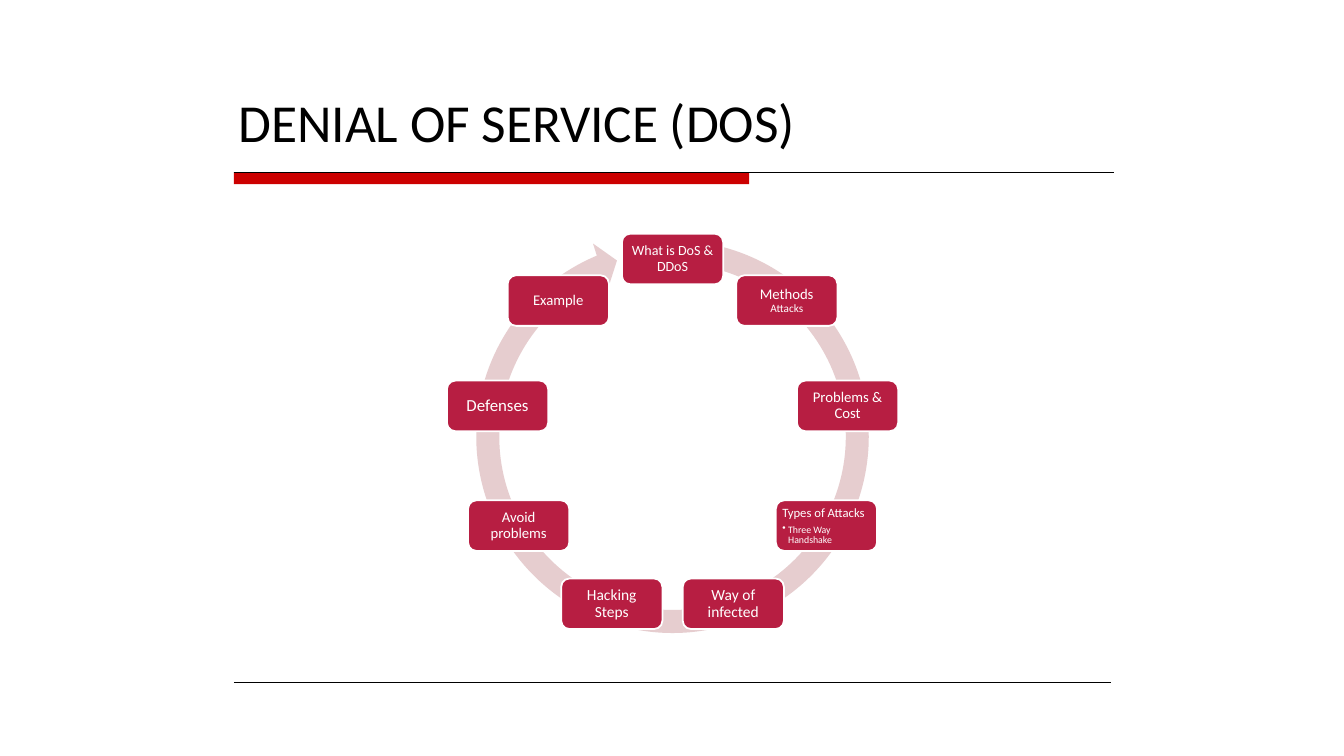
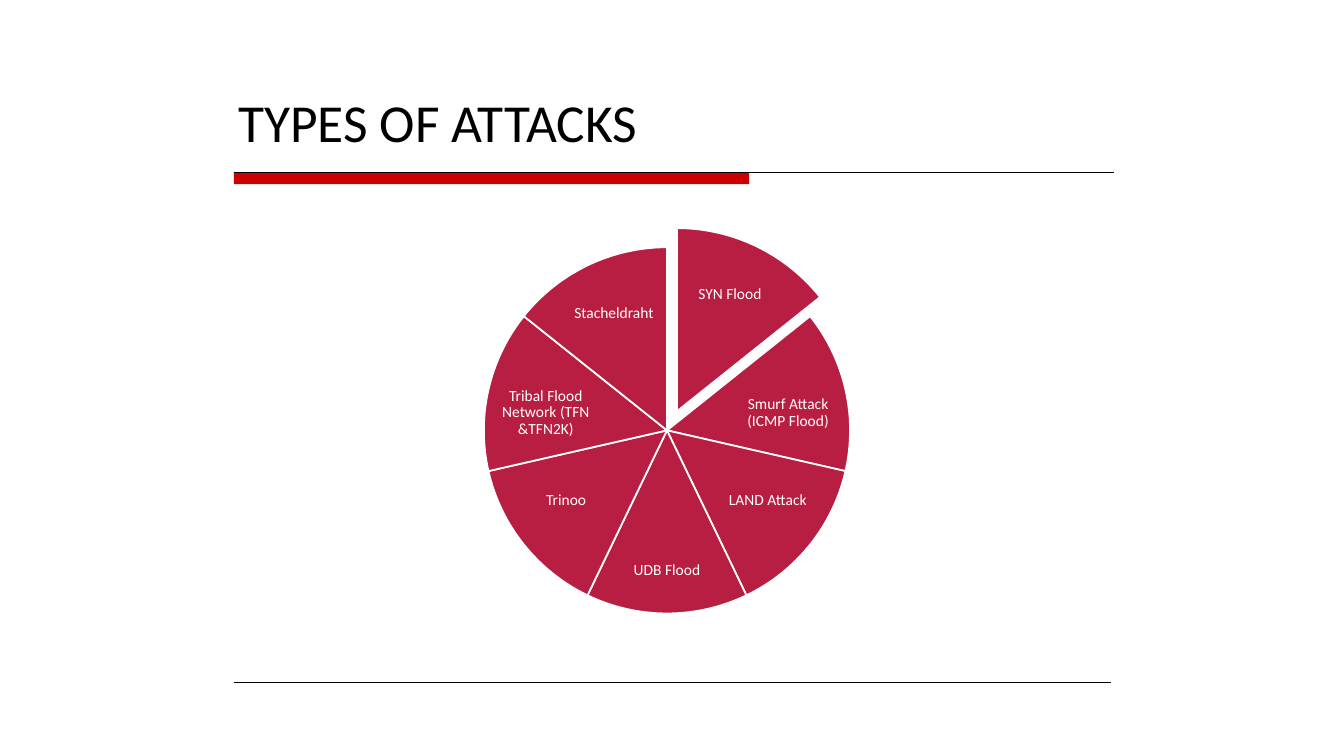
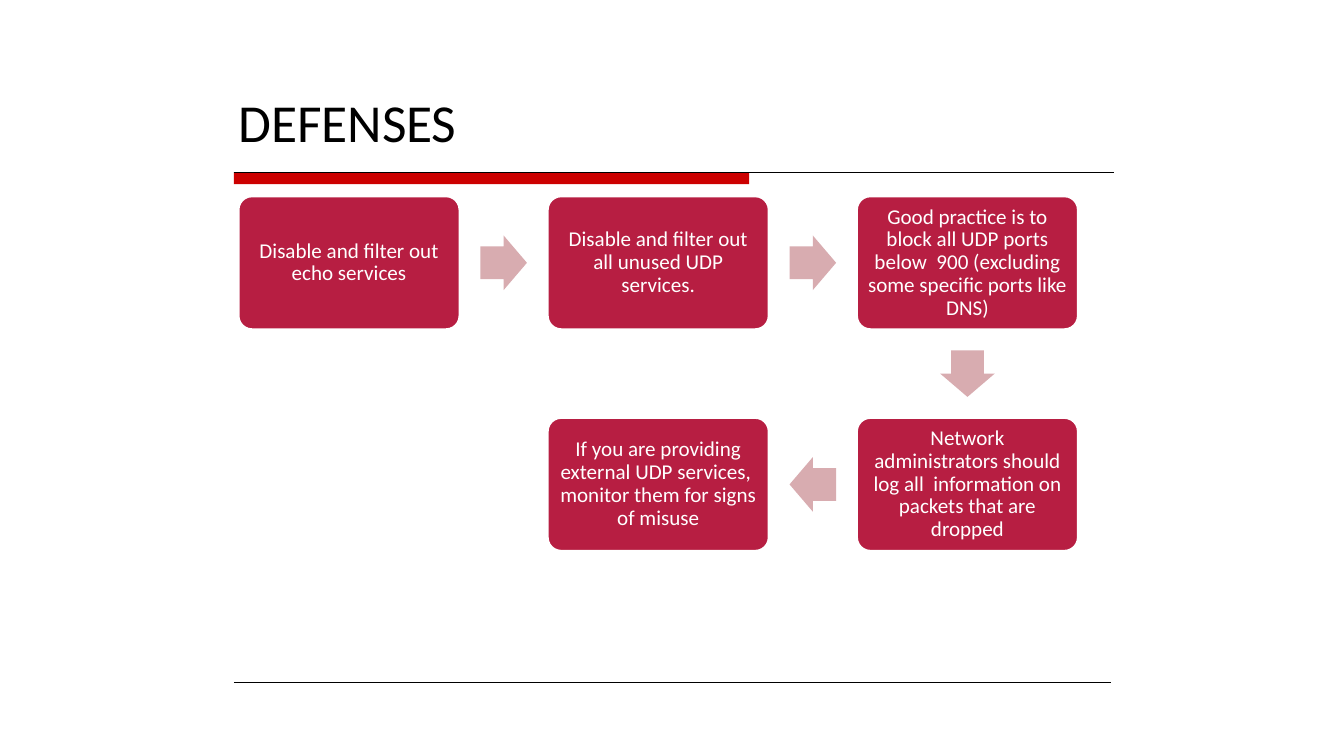
"""Build three slides on denial of service: a topic cycle, a wheel of attacks and a defence flow."""
import math

import lxml.etree
import pptx
import pptx.dml.color
import pptx.enum.shapes
import pptx.enum.text
import pptx.oxml.ns
import pptx.util

Cm = pptx.util.Cm
Pt = pptx.util.Pt
SHAPE = pptx.enum.shapes.MSO_SHAPE
ALIGN = pptx.enum.text.PP_ALIGN
ANCHOR = pptx.enum.text.MSO_ANCHOR
qn = pptx.oxml.ns.qn

FONT = "Calibri"
COLORS = {
    "title": "000000",
    "rule": "000000",
    "bar": "CC0000",
    "box": "B71E42",
    "ring": "E6CDCF",
    "arrow": "D8ACB0",
    "light": "FFFFFF",
}


def paint(shape, fill, line=None, adjustments=()):
    """Give a shape its fill, outline and adjustments, without a shadow."""
    shape.shadow.inherit = False
    shape.fill.solid()
    shape.fill.fore_color.rgb = pptx.dml.color.RGBColor.from_string(COLORS[fill])
    if line:
        shape.line.color.rgb = pptx.dml.color.RGBColor.from_string(COLORS[line])
        shape.line.width = Pt(1.25)
    else:
        shape.line.fill.background()
    for index, value in enumerate(adjustments):
        shape.adjustments[index] = value


def write(box, text, size, color="light", align=ALIGN.CENTER, anchor=ANCHOR.MIDDLE,
          inset=0.0, after=0, same_para=False):
    """Add text to a box as a new paragraph, or as a span of the last one."""
    frame = box.text_frame
    frame.word_wrap = True
    frame.auto_size = pptx.enum.text.MSO_AUTO_SIZE.NONE
    frame.vertical_anchor = anchor
    frame.margin_left = frame.margin_right = Cm(inset)
    frame.margin_top = frame.margin_bottom = Cm(inset)
    para = frame.paragraphs[-1]
    if para.runs and not same_para:
        para = frame.add_paragraph()
    para.alignment = align
    para.line_spacing = 0.9
    para.space_after = Pt(after)
    span = para.add_run()
    span.text = text
    span.font.name = FONT
    span.font.size = Pt(size)
    span.font.color.rgb = pptx.dml.color.RGBColor.from_string(COLORS[color])
    return para


deck = pptx.Presentation()
deck.slide_width, deck.slide_height = Cm(33.73), Cm(18.97)

pages = []
for heading, width in (("DENIAL OF SERVICE (DOS)", 15.93), ("TYPES OF ATTACKS", 14.48), ("DEFENSES", 6.22)):
    page = deck.slides.add_slide(deck.slide_layouts[5])
    pages.append(page)
    title = page.shapes.title
    title.left, title.top, title.width, title.height = Cm(5.99), Cm(2.41), Cm(width), Cm(1.5)
    para = write(title, heading, 38, color="title", align=ALIGN.LEFT, anchor=ANCHOR.TOP)
    para.space_before = Pt(0.9)
    para.runs[0].font._element.set("spc", "-10")
    bar = page.shapes.add_shape(SHAPE.RECTANGLE, Cm(5.87), Cm(4.32), Cm(12.93), Cm(0.3))
    paint(bar, "bar")
    for right, y, weight in ((27.97, 4.32, 0.75), (27.89, 17.12, 0.25)):
        rule = page.shapes.add_connector(
            pptx.enum.shapes.MSO_CONNECTOR.STRAIGHT, Cm(5.87), Cm(y), Cm(right), Cm(y))
        rule.line.color.rgb = pptx.dml.color.RGBColor.from_string(COLORS["rule"])
        rule.line.width = Pt(weight)
        lxml.etree.SubElement(rule._element.spPr, qn("a:effectLst"))

cycle_page, wheel_page, flow_page = pages

ring_x, ring_y, ring_size, orbit = 16.88, 10.96, 10.49, 4.46
node_width, node_height = 2.54, 1.27
ring = cycle_page.shapes.add_shape(
    SHAPE.CIRCULAR_ARROW, Cm(ring_x - ring_size / 2), Cm(ring_y - ring_size / 2), Cm(ring_size), Cm(ring_size))
paint(ring, "ring", adjustments=(0.055, 3.307, 148.192, 167.784, 0.058))

topics = [
    ("What is DoS & DDoS", 10),
    ("Methods", 10.5),
    ("Problems & Cost", 10.5),
    ("Types of Attacks", 9),
    ("Way of infected", 11),
    ("Hacking Steps", 11),
    ("Avoid problems", 10.5),
    ("Defenses", 12),
    ("Example", 10.5),
]
for index, (topic, size) in enumerate(topics):
    angle = math.tau * index / len(topics)
    x = ring_x + orbit * math.sin(angle)
    y = ring_y - orbit * math.cos(angle)
    node = cycle_page.shapes.add_shape(
        SHAPE.ROUNDED_RECTANGLE, Cm(x - node_width / 2), Cm(y - node_height / 2), Cm(node_width), Cm(node_height))
    paint(node, "box", "light")
    if topic == "Types of Attacks":
        listing = {"align": ALIGN.LEFT, "anchor": ANCHOR.TOP, "inset": 0.1}
        write(node, topic, size, after=3, **listing)
        bullet = write(node, "Three Way Handshake", 7, **listing)._p.get_or_add_pPr()
        bullet.set("marL", str(Cm(0.15)))
        bullet.set("indent", str(-Cm(0.15)))
        lxml.etree.SubElement(bullet, qn("a:buChar")).set("char", "•")
    else:
        write(node, topic, size, inset=0.1 if size == 10 else 0.13)
    if topic == "Methods":
        write(node, " Attacks", 8, inset=0.13, same_para=True)

wheel_x, wheel_y, wheel_size = 16.74, 10.8, 9.19
attacks = [
    ("SYN Flood", 1.33, -2.93, 2.51, 1.6),
    ("Smurf Attack (ICMP Flood)", 3.04, -0.44, 2.67, 1.7),
    ("LAND Attack", 2.53, 1.77, 2.41, 1.75),
    ("UDB Flood", 0, 3.52, 2.46, 1.75),
    ("Trinoo", -2.53, 1.77, 2.41, 1.75),
    ("Tribal Flood Network (TFN &TFN2K)", -3.04, -0.44, 2.67, 1.7),
    ("Stacheldraht", -1.33, -2.93, 2.51, 1.6),
]
step = 360 / len(attacks)
for index, (attack, offset_x, offset_y, width, height) in enumerate(attacks):
    x, y = (wheel_x + 0.25, wheel_y - 0.48) if index == 0 else (wheel_x, wheel_y)
    start, end = ((270 + step * turn) % 360 for turn in (index, index + 1))
    if index == len(attacks) - 1:
        end = 270
    slice_shape = wheel_page.shapes.add_shape(
        SHAPE.PIE, Cm(x - wheel_size / 2), Cm(y - wheel_size / 2), Cm(wheel_size), Cm(wheel_size))
    paint(slice_shape, "box", "light", adjustments=(start * 0.6, end * 0.6))
    label = wheel_page.shapes.add_textbox(
        Cm(x + offset_x - width / 2), Cm(y + offset_y - height / 2), Cm(width), Cm(height))
    write(label, attack, 11, inset=0.05)

step_width, step_height = 5.54, 3.33
arrow_width, arrow_height = 1.17, 1.37
steps = [
    ("Disable and filter out echo services", 0, 0),
    ("Disable and filter out all unused UDP services.", 1, 0),
    ("Good practice is to block all UDP ports below  900 (excluding some specific ports like DNS)", 2, 0),
    ("Network administrators should log all  information on packets that are dropped", 2, 1),
    ("If you are providing external UDP services,  monitor them for signs of misuse", 1, 1),
]
previous = None
for text, column, row in steps:
    x = 5.99 + 7.76 * column + step_width / 2
    y = 4.93 + 5.56 * row + step_height / 2
    if previous:
        middle_x, middle_y = (x + previous[0]) / 2, (y + previous[1]) / 2
        arrow = flow_page.shapes.add_shape(
            SHAPE.RIGHT_ARROW, Cm(middle_x - arrow_width / 2), Cm(middle_y - arrow_height / 2),
            Cm(arrow_width), Cm(arrow_height))
        arrow.rotation = math.degrees(math.atan2(y - previous[1], x - previous[0]))
        paint(arrow, "arrow", adjustments=(0.6, 0.5))
    box = flow_page.shapes.add_shape(
        SHAPE.ROUNDED_RECTANGLE, Cm(x - step_width / 2), Cm(y - step_height / 2), Cm(step_width), Cm(step_height))
    paint(box, "box", "light", adjustments=(0.1,))
    write(box, text, 15, inset=0.15)
    previous = (x, y)

deck.save("out.pptx")
